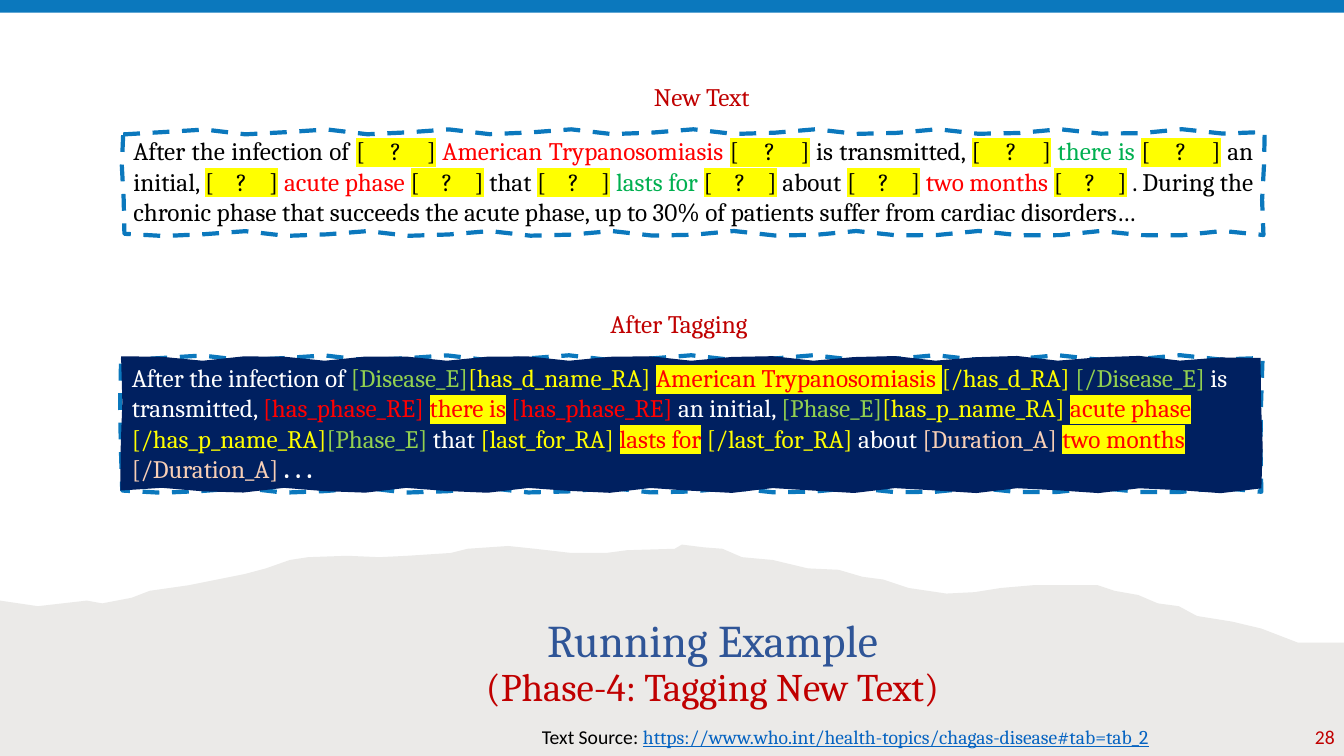
from math import pi, sin

from lxml import etree
from pptx import Presentation
from pptx.dml.color import RGBColor
from pptx.enum import dml, shapes, text
from pptx.oxml.ns import qn
from pptx.util import Pt

# Content: runs are (text, style)
SLOT = ("[    ?    ]", "slot")
NEW_TEXT = [
    ("After the infection of ", "black"), SLOT,
    (" American Trypanosomiasis ", "red"), SLOT, (" is transmitted, ", "black"),
    SLOT, (" there is ", "green"), SLOT, (" an initial, ", "black"),
    SLOT, (" acute phase ", "red"), SLOT, (" that ", "black"),
    SLOT, (" lasts for ", "green"), SLOT, (" about ", "black"),
    SLOT, (" two months ", "red"), SLOT,
    (" . During the chronic phase that succeeds the acute phase, up to 30% of "
     "patients suffer from cardiac disorders…", "black"),
]
TAGGED_TEXT = [
    ("After the infection of ", "white"), ("[Disease_E]", "lime"),
    ("[has_d_name_RA] ", "yellow"), ("American Trypanosomiasis ", "marked"),
    ("[/has_d_RA] ", "yellow"), ("[/Disease_E] ", "lime"),
    ("is transmitted, ", "white"), ("[has_phase_RE] ", "red"),
    ("there is", "marked"), (" [has_phase_RE]", "red"), (" an initial, ", "white"),
    ("[Phase_E]", "lime"), ("[has_p_name_RA] ", "yellow"),
    ("acute phase", "marked"), (" [/has_p_name_RA]", "yellow"),
    ("[Phase_E] ", "lime"), ("that ", "white"), ("[last_for_RA] ", "yellow"),
    ("lasts for", "marked"), (" [/last_for_RA] ", "yellow"),
    ("about ", "white"), ("[Duration_A] ", "peach"), ("two months", "marked"),
    (" [/Duration_A] ", "peach"), (". . .", "strong"),
]
TITLE = [[("Running Example", "title")],
         [("(Phase-4: Tagging New Text)", "subtitle")]]
SOURCE = [("Text Source: ", "note"),
          ("https://www.who.int/health-topics/chagas-disease#tab=tab_2", "link")]

# Upper edge of the torn paper
TORN_EDGE = [
    (0, 429), (27, 433), (62, 429), (73, 431), (94, 427), (107, 422), (135, 418),
    (175, 410), (190, 406), (207, 400), (220, 398), (248, 397), (271, 398),
    (291, 397), (322, 395), (334, 392), (363, 390), (382, 392), (408, 395),
    (433, 395), (448, 393), (482, 392), (487, 389), (503, 391), (516, 392),
    (530, 398), (552, 400), (577, 406), (599, 407), (616, 412), (631, 414),
    (649, 420), (676, 424), (696, 423), (715, 420), (738, 418), (784, 418),
    (796, 422), (813, 425), (827, 431), (842, 433), (855, 440), (880, 444),
    (901, 449), (927, 459), (960, 459),
]

THEME = {
    "bar": "0B78BD", "paper": "EBEAE8", "navy": "002060", "highlight": "FFFF00",
    "serif": "Cambria", "sans": "Calibri", "body": 18,
    # style: colour, and what differs from plain serif body text
    "styles": {
        "black": ("000000", {}), "white": ("FFFFFF", {}), "red": ("FF0000", {}),
        "green": ("00B050", {}), "lime": ("92D050", {}), "yellow": ("FFFF00", {}),
        "peach": ("F8CFB6", {}), "heading": ("C00000", {}),
        "slot": ("000000", {"highlight": True}),
        "marked": ("FF0000", {"highlight": True}),
        "strong": ("FFFFFF", {"bold": True}),
        "title": ("2F5597", {"size": 32.4}),
        "subtitle": ("C00000", {"size": 27.9}),
        "note": ("000000", {"size": 14, "font": "sans"}),
        "number": ("C00000", {"size": 14, "font": "sans"}),
        "link": ("0563C1", {"size": 14, "underline": True}),
    },
}
WIDTH, HEIGHT = 960, 540
WAVE = 2

presentation = Presentation()
presentation.slide_width, presentation.slide_height = Pt(WIDTH), Pt(HEIGHT)
slide = presentation.slides.add_slide(presentation.slide_layouts[6])


def paint(shape, fill=None, dashed=False):
    shape.shadow.inherit = False
    if fill:
        shape.fill.solid()
        shape.fill.fore_color.rgb = RGBColor.from_string(THEME[fill])
    else:
        shape.fill.background()
    if dashed:
        shape.line.color.rgb = RGBColor.from_string(THEME["bar"])
        shape.line.width = Pt(3)
        shape.line.dash_style = dml.MSO_LINE.DASH
    else:
        shape.line.fill.background()


def write(shape, paragraphs, align=text.PP_ALIGN.LEFT, anchor=text.MSO_ANCHOR.TOP,
          wrap=True, spacing=1.0, extra_inset=0):
    frame = shape.text_frame
    frame.word_wrap, frame.vertical_anchor = wrap, anchor
    frame.margin_left = frame.margin_right = Pt(7.2 + extra_inset)
    frame.margin_top = frame.margin_bottom = Pt(3.6 + extra_inset)
    for index, runs in enumerate(paragraphs):
        paragraph = frame.add_paragraph() if index else frame.paragraphs[0]
        paragraph.alignment, paragraph.line_spacing = align, spacing
        for words, style in runs:
            color, extras = THEME["styles"][style]
            run = paragraph.add_run()
            run.text = words
            font = run.font
            font.size = Pt(extras.get("size", THEME["body"]))
            font.name = THEME[extras.get("font", "serif")]
            font.bold, font.underline = extras.get("bold"), extras.get("underline")
            font.color.rgb = RGBColor.from_string(color)
            if extras.get("highlight"):
                mark = etree.Element(qn("a:highlight"))
                etree.SubElement(mark, qn("a:srgbClr"), val=THEME["highlight"])
                run._r.rPr.find(qn("a:solidFill")).addnext(mark)


def add_text(left, top, width, height, paragraphs, **options):
    shape = slide.shapes.add_textbox(Pt(left), Pt(top), Pt(width), Pt(height))
    write(shape, paragraphs, **options)


def add_outline(points):
    corners = [(Pt(x), Pt(y)) for x, y in points]
    builder = slide.shapes.build_freeform(*corners[0])
    builder.add_line_segments(corners[1:], close=True)
    return builder.convert_to_shape()


def wavy_box(left, top, width, height, phase):
    """Walk round a rectangle, shifting each side by an uneven wave."""
    def wave(distance):
        return WAVE * sin(distance / 14 + phase)

    right, bottom = left + width, top + height
    across = [width * step / 28 for step in range(28)]
    down = [height * step / 3 for step in range(3)]
    points = [(left + d, top + wave(d)) for d in across]
    points += [(right + wave(d) / 2, top + d) for d in down]
    points += [(right - d, bottom + wave(d + width)) for d in across]
    points += [(left + wave(d) / 2, bottom - d) for d in down]
    return add_outline(points)


# Top bar and torn paper
bar = slide.shapes.add_shape(shapes.MSO_SHAPE.RECTANGLE, 0, 0, Pt(WIDTH), Pt(9))
paint(bar, "bar")
paint(add_outline(TORN_EDGE + [(WIDTH, HEIGHT), (0, HEIGHT)]), "paper")

# Title, source and slide number
CENTER, RIGHT = text.PP_ALIGN.CENTER, text.PP_ALIGN.RIGHT
add_text(231, 434, 556, 76.5, TITLE, align=CENTER,
         anchor=text.MSO_ANCHOR.BOTTOM, spacing=0.9)
add_text(380, 514, 465, 24.5, [SOURCE], wrap=False)
add_text(929.5, 512, 31, 29, [[("28", "number")]], align=RIGHT,
         anchor=text.MSO_ANCHOR.MIDDLE)

# New text
add_text(460, 54.7, 99.4, 29, [[("New Text", "heading")]], wrap=False)
new_box = wavy_box(88, 94.3, 814.5, 72.7, pi / 3)
paint(new_box, dashed=True)
write(new_box, [NEW_TEXT], align=text.PP_ALIGN.JUSTIFY, extra_inset=WAVE / 2)

# Tagged text: dashed outline behind a dark box
add_text(301.7, 216.7, 366.5, 29, [[("After Tagging", "heading")]], align=CENTER)
tagged_frame = (86.5, 255.7, 814.5, 94.7)
paint(wavy_box(*tagged_frame, pi / 3), dashed=True)
tagged_box = wavy_box(*tagged_frame, pi * 1.2)
paint(tagged_box, "navy")
write(tagged_box, [TAGGED_TEXT], extra_inset=WAVE / 2)

presentation.save("out.pptx")
